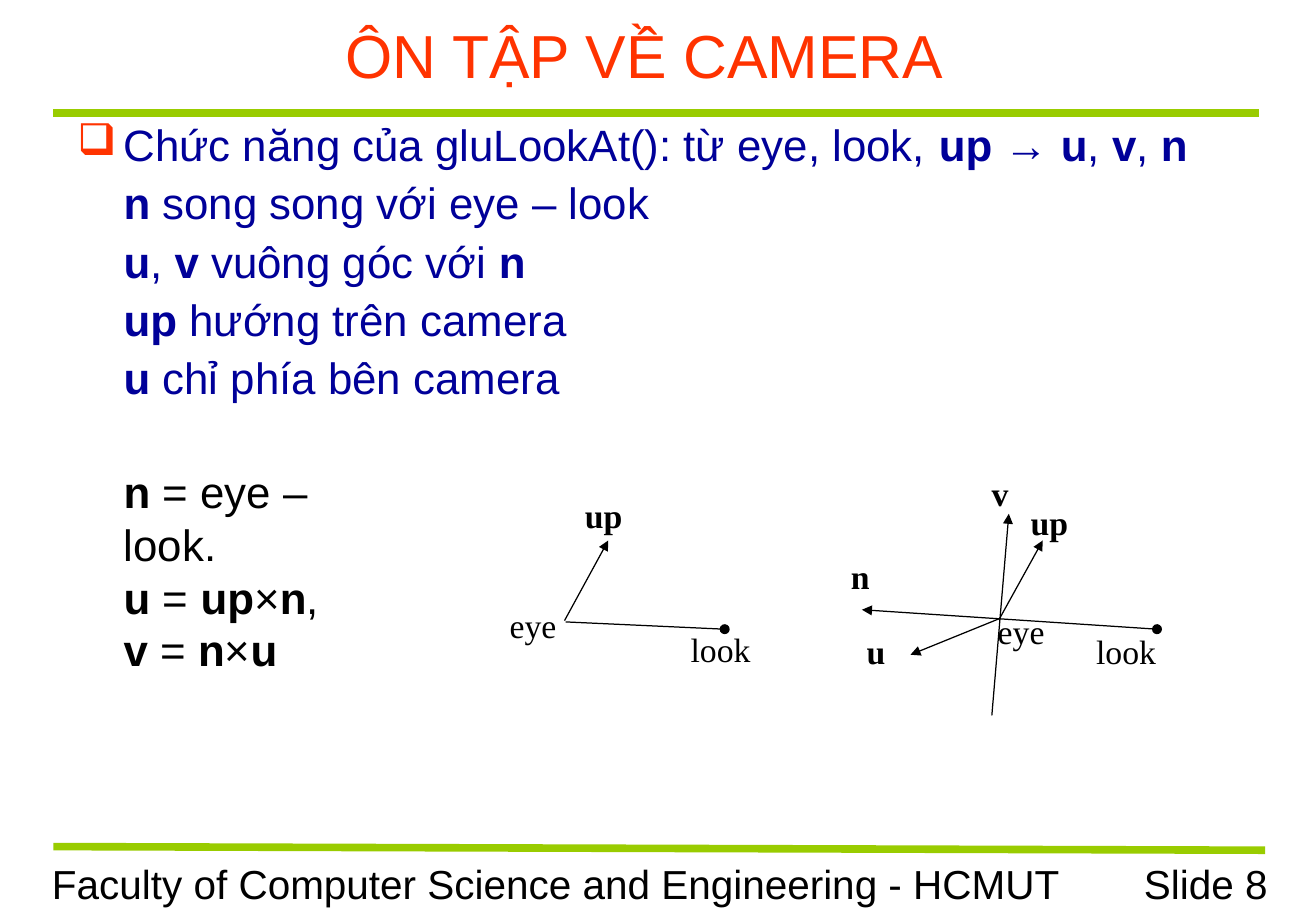
from lxml.etree import SubElement
from pptx import Presentation
from pptx.dml.color import RGBColor
from pptx.enum.shapes import MSO_CONNECTOR
from pptx.enum.text import MSO_ANCHOR, PP_ALIGN
from pptx.oxml.ns import qn
from pptx.util import Inches, Pt

BLACK = RGBColor(0x00, 0x00, 0x00)
NAVY = RGBColor(0x00, 0x00, 0x99)
ORANGE = RGBColor(0xFF, 0x33, 0x00)
GREEN = RGBColor(0x99, 0xCC, 0x00)

deck = Presentation()
deck.slide_width, deck.slide_height = Inches(10.84), Inches(7.5)
COLUMN, ROW = deck.slide_width / 100, deck.slide_height / 100
slide = deck.slides.add_slide(deck.slide_layouts[6])


def add_text(left, top, width, height, lines, size, color, font="Arial",
             align=PP_ALIGN.LEFT, anchor=MSO_ANCHOR.TOP):
    box = slide.shapes.add_textbox(int(left * COLUMN), int(top * ROW),
                                   int(width * COLUMN), int(height * ROW))
    frame = box.text_frame
    frame.word_wrap = True
    frame.vertical_anchor = anchor
    for number, line in enumerate(lines):
        paragraph = frame.add_paragraph() if number else frame.paragraphs[0]
        paragraph.alignment = align
        for part, words in enumerate(line.split("*")):
            if words:
                run = paragraph.add_run()
                run.text = words
                run.font.name = font
                run.font.size = Pt(size)
                run.font.bold = part % 2 == 1
                run.font.color.rgb = color
    return frame


def add_line(start, end, color, weight, head=None, tail=None):
    line = slide.shapes.add_connector(
        MSO_CONNECTOR.STRAIGHT, int(start[0] * COLUMN), int(start[1] * ROW),
        int(end[0] * COLUMN), int(end[1] * ROW))
    line.line.color.rgb = color
    line.line.width = Pt(weight)
    properties = line._element.spPr
    stroke = properties.find(qn("a:ln"))
    for tag, kind in (("a:headEnd", head), ("a:tailEnd", tail)):
        if kind:
            SubElement(stroke, qn(tag), type=kind)
    SubElement(properties, qn("a:effectLst"))


add_text(78.87, 93.6, 18.36, 6.67, ["Slide 8"], 24, BLACK, align=PP_ALIGN.RIGHT)
add_line((4.06, 12.4), (95.66, 12.4), GREEN, 4.5)
add_line((4.06, 92.93), (96.13, 93.33), GREEN, 4.5)
add_text(3.04, 93.6, 78.6, 6.67,
         ["Faculty of Computer Science and Engineering - HCMUT"], 24, BLACK)
add_text(3.04, 1.33, 91.88, 9.33, ["ÔN TẬP VỀ CAMERA"], 36, ORANGE,
         align=PP_ALIGN.CENTER, anchor=MSO_ANCHOR.MIDDLE)

explanation = add_text(4.98, 12.93, 89.94, 33.73, [
    "Chức năng của gluLookAt(): từ eye, look, *up *→ *u*, *v*, *n*",
    "*n* song song với eye – look",
    "*u*, *v* vuông góc với *n*",
    "*up *hướng trên camera",
    "*u *chỉ phía bên camera",
], 26, NAVY)
for number, paragraph in enumerate(explanation.paragraphs):
    paragraph.line_spacing = 0.9
    paragraph.space_before = Pt(6.5 if number else 0)
    layout = paragraph._p.get_or_add_pPr()
    layout.set("marL", str(Inches(0.38)))
    layout.set("indent", str(0 if number else -Inches(0.38)))
    if number == 0:
        bullet_color = SubElement(layout, qn("a:buClr"))
        SubElement(bullet_color, qn("a:srgbClr"), val=str(ORANGE))
        SubElement(layout, qn("a:buChar"), char="❑")

vectors = [
    ((42.9, 68.13), (46.22, 59.33), None, "triangle"),
    ((42.99, 68.27), (55.07, 69.07), None, "oval"),
    ((75.37, 78.53), (76.66, 56.4), None, "triangle"),
    ((87.92, 69.07), (65.5, 66.93), "oval", "triangle"),
    ((75.92, 68), (79.24, 59.33), None, "triangle"),
    ((76.01, 67.87), (69.19, 71.87), None, "triangle"),
]
for start, end, head, tail in vectors:
    add_line(start, end, BLACK, 0.75, head, tail)

vector_labels = [
    (43.54, 53.6, "*up*"), (77.4, 54.4, "*up*"), (74.45, 51.2, "*v*"),
    (63.75, 60.4, "*n*"), (64.94, 68.53, "*u*"), (37.82, 65.73, "eye"),
    (74.91, 66.4, "eye"), (82.38, 68.53, "look"), (51.57, 68.4, "look"),
]
for left, top, label in vector_labels:
    add_text(left, top, 8.86, 8.27, [label], 20, BLACK, "Times New Roman")

add_text(8.49, 50.4, 23.06, 33.2,
         ["*n* = eye – look.", "*u* = *up*×*n*,", "*v *= *n*×*u*"], 26, BLACK)

deck.save("out.pptx")
